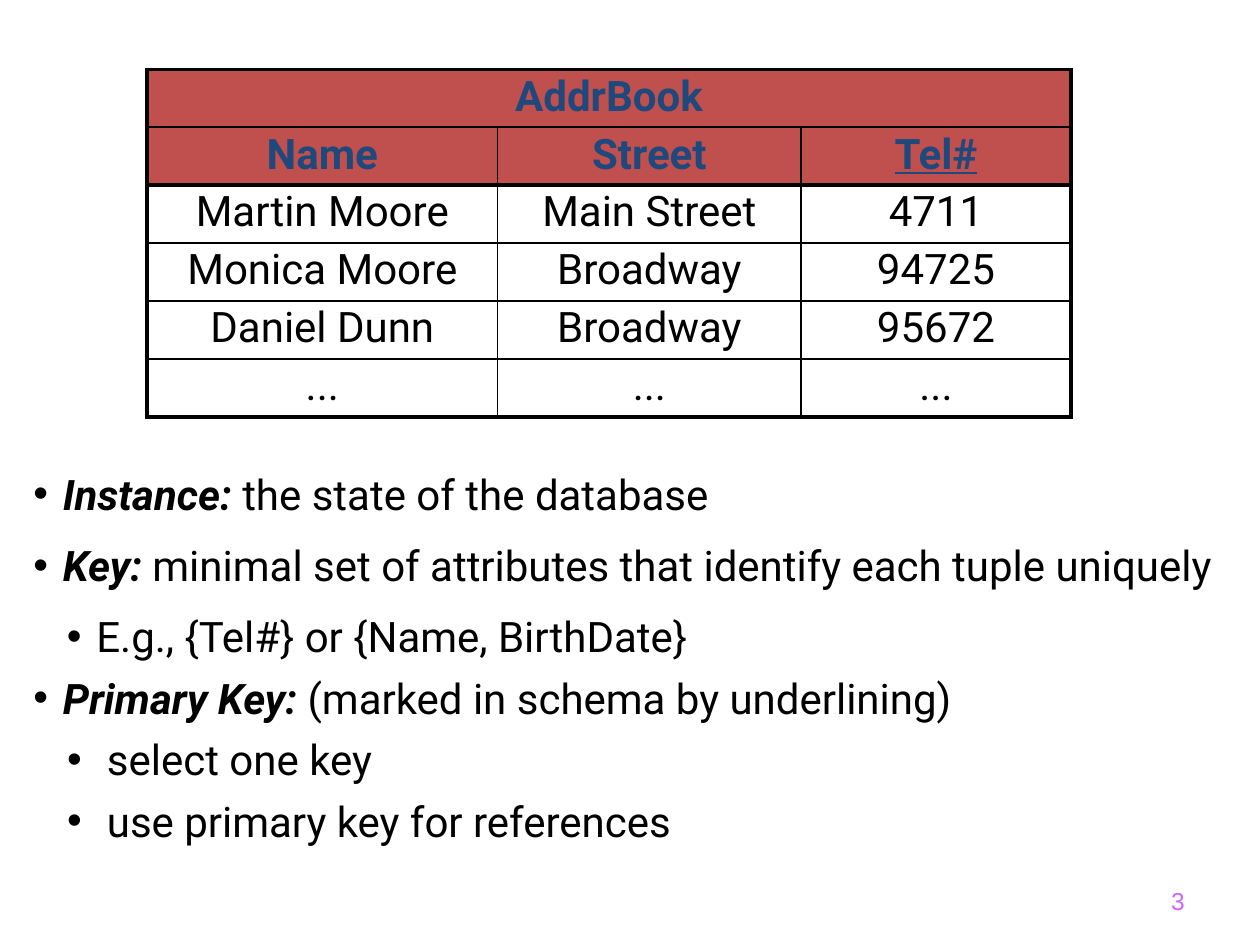
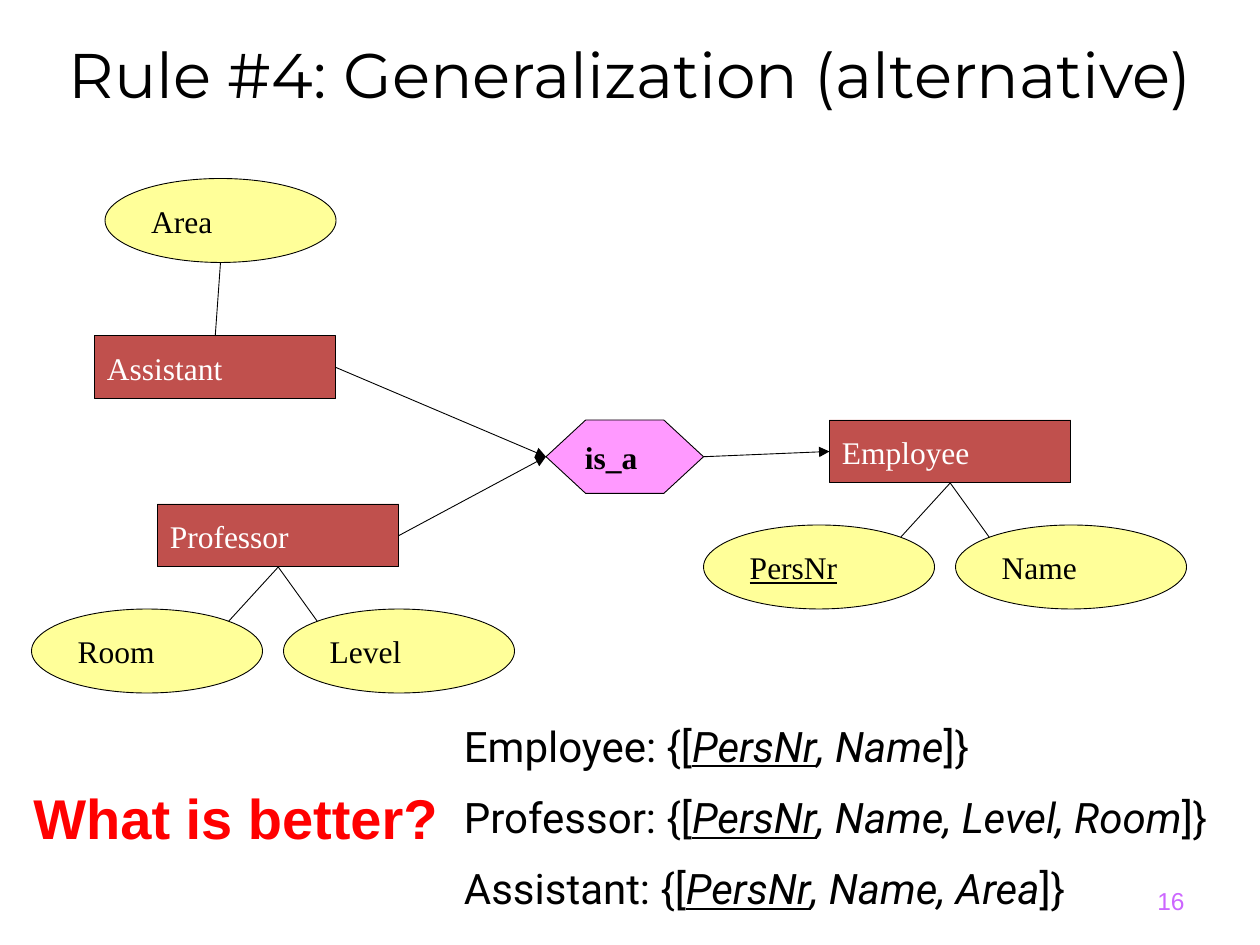
from lxml import etree
from pptx import Presentation
from pptx import util as u
from pptx.dml.color import RGBColor
from pptx.enum import shapes, text
from pptx.oxml import ns

PX = 7620  # 120 px to the inch
BLACK, WHITE, RED = "000000", "FFFFFF", "FF0000"
NAVY, BRICK, YELLOW, PINK, VIOLET = "1F497D", "C0504D", "FFFF99", "FF99FF", "CC66FF"
BODY, HEADING, PLAIN, DIAGRAM = "Roboto", "Montserrat", "Arial", "Times New Roman"
PARAGRAPH_GAP = u.Pt(12)
LEFT, CENTER, RIGHT = text.PP_ALIGN.LEFT, text.PP_ALIGN.CENTER, text.PP_ALIGN.RIGHT

ADDRESSES = [
    ["AddrBook", "", ""],
    ["Name", "Street", "Tel#"],
    ["Martin Moore", "Main Street", "4711"],
    ["Monica Moore", "Broadway", "94725"],
    ["Daniel Dunn", "Broadway", "95672"],
    ["...", "...", "..."],
]
# term, explanation, text indent, bullet offset, line spacing
DEFINITIONS = [
    ("Instance: ", "the state of the database", 28, -28, 1),
    ("Key: ", "minimal set of attributes that identify each tuple uniquely", 28, -28, 1),
    ("", "E.g., {Tel#} or {Name, BirthDate}", 60, -28, 1),
    ("Primary Key: ", "(marked in schema by underlining)", 28, -28, 0.8),
    ("", "select one key", 70, -38, 0.8),
    ("", "use primary key for references", 70, -38, 0.8),
]
RELATIONS = [
    ("Employee", ", Name"),
    ("Professor", ", Name, Level, Room"),
    ("Assistant", ", Name, Area"),
]


# Shared helpers
def px(*lengths):
    return [u.Emu(round(length * PX)) for length in lengths]


def color(value):
    return RGBColor.from_string(value)


def set_font(font, name, size, shade, bold=False):
    font.name, font.size, font.bold = name, u.Pt(size), bold
    font.color.rgb = color(shade)


def add_run(paragraph, words, italic=False, bold=False, underline=False):
    run = paragraph.add_run()
    run.text = words
    run.font.italic, run.font.bold, run.font.underline = italic, bold, underline


def add_frame(slide, box, middle=False, wrap=True):
    frame = slide.shapes.add_textbox(*px(*box)).text_frame
    frame.word_wrap = wrap
    frame.vertical_anchor = text.MSO_ANCHOR.MIDDLE if middle else text.MSO_ANCHOR.TOP
    return frame


def next_paragraph(frame, index):
    if index == 0:
        return frame.paragraphs[0]
    paragraph = frame.add_paragraph()
    paragraph.space_before = PARAGRAPH_GAP
    return paragraph


def add_label(slide, box, words, font, align=LEFT, middle=True, wrap=True):
    frame = add_frame(slide, box, middle, wrap)
    paragraph = frame.paragraphs[0]
    paragraph.text, paragraph.alignment = words, align
    set_font(paragraph.font, *font)
    return frame


def add_page_number(slide, number):
    add_label(slide, (860, 834, 280, 48), str(number), (PLAIN, 14, VIOLET), RIGHT)


def add_title(slide, words):
    add_label(slide, (0, 0, 1200, 140), words, (HEADING, 36, BLACK), CENTER)


# Address table
def set_borders(cell, thick_sides):
    properties = cell._tc.get_or_add_tcPr()
    for side in "LRTB":
        width = u.Pt(2.25 if side in thick_sides else 1)
        line = etree.SubElement(properties, ns.qn("a:ln" + side), w=str(width))
        fill = etree.SubElement(line, ns.qn("a:solidFill"))
        etree.SubElement(fill, ns.qn("a:srgbClr"), val=BLACK)


def thick_sides(row, column):
    sides = "L" if column == 0 else ""
    sides += "R" if column == 2 or row == 0 else ""
    sides += "T" if row in (0, 2) else ""
    return sides + ("B" if row in (1, 5) else "")


def add_address_table(slide, left, top):
    widths, row_height = (334, 289, 257), 55.2
    box = px(left, top, sum(widths), row_height * len(ADDRESSES))
    table = slide.shapes.add_table(len(ADDRESSES), len(widths), *box).table
    table.first_row = table.horz_banding = False
    for column, width in zip(table.columns, px(*widths)):
        column.width = width
    for r, record in enumerate(ADDRESSES):
        table.rows[r].height = px(row_height)[0]
        is_header = r < 2
        for c, words in enumerate(record):
            cell = table.cell(r, c)
            set_borders(cell, thick_sides(r, c))
            cell.margin_left = cell.margin_right = 0
            cell.margin_top = cell.margin_bottom = u.Inches(0.05)
            if is_header:
                cell.fill.solid()
                cell.fill.fore_color.rgb = color(BRICK)
            else:
                cell.fill.background()
            paragraph = cell.text_frame.paragraphs[0]
            paragraph.text = words
            paragraph.alignment, paragraph.line_spacing = CENTER, 0.9
            set_font(paragraph.font, BODY, 24, NAVY if is_header else BLACK, is_header)
            paragraph.font.underline = words == "Tel#"
    table.cell(0, 0).merge(table.cell(0, 2))


# Bulleted definitions
def add_definitions(slide, box):
    frame = add_frame(slide, box)
    for i, (term, explanation, indent, offset, spacing) in enumerate(DEFINITIONS):
        paragraph = next_paragraph(frame, i)
        paragraph.line_spacing = spacing
        properties = paragraph._p.get_or_add_pPr()
        properties.set("marL", str(indent * PX))
        properties.set("indent", str(offset * PX))
        etree.SubElement(properties, ns.qn("a:buFont"), typeface=PLAIN)
        etree.SubElement(properties, ns.qn("a:buChar"), char="•")
        set_font(paragraph.font, BODY, 24, BLACK)
        if term:
            add_run(paragraph, term, italic=True, bold=True)
        add_run(paragraph, explanation)


# Entity-relationship diagram
def add_node(slide, kind, box, words, fill, shade=BLACK, bold=False):
    node = slide.shapes.add_shape(kind, *px(*box))
    node.shadow.inherit = False
    node.fill.solid()
    node.fill.fore_color.rgb = color(fill)
    node.line.color.rgb = color(BLACK)
    node.line.width = u.Pt(0.5)
    frame = node.text_frame
    frame.word_wrap = False
    frame.vertical_anchor = text.MSO_ANCHOR.MIDDLE
    paragraph = frame.paragraphs[0]
    paragraph.text, paragraph.alignment = words, LEFT
    set_font(paragraph.font, DIAGRAM, 18, shade, bold)
    return node


def add_entity(slide, left, top, words):
    box = (left, top, 230, 60)
    return add_node(slide, shapes.MSO_SHAPE.RECTANGLE, box, words, BRICK, WHITE)


def add_attribute(slide, left, top, words):
    box = (left, top, 220, 80)
    return add_node(slide, shapes.MSO_SHAPE.OVAL, box, words, YELLOW)


def point_on(node, across, down):
    """Point at a fraction of the node's half width and half height from its centre."""
    return (round(node.left + node.width * (1 + across) / 2),
            round(node.top + node.height * (1 + down) / 2))


def add_link(slide, start, end, arrow=False):
    link = slide.shapes.add_connector(shapes.MSO_CONNECTOR.STRAIGHT, *start, *end)
    link.line.color.rgb = color(BLACK)
    link.line.width = u.Pt(0.5)
    if arrow:
        etree.SubElement(link.line._get_or_add_ln(), ns.qn("a:tailEnd"), type="triangle")
    etree.SubElement(link._element.spPr, ns.qn("a:effectLst"))
    return link


def add_entity_with_pair(slide, left, top, words, attributes):
    """Entity with two attributes hanging below it, left and right."""
    entity = add_entity(slide, left, top, words)
    diagonal = 0.5 ** 0.5
    ovals = []
    for side, name in zip((-1, 1), attributes):
        oval = add_attribute(slide, left + side * 120, top + 100, name)
        end = point_on(oval, -side * diagonal, -diagonal)
        add_link(slide, point_on(entity, 0, 1), end).begin_connect(entity, 2)
        ovals.append(oval)
    return entity, ovals


def add_diagram(slide, left, top):
    area = add_attribute(slide, left + 70, top, "Area")
    assistant = add_entity(slide, left + 60, top + 150, "Assistant")
    add_link(slide, point_on(area, 0, 1), point_on(assistant, 0, -1)).end_connect(assistant, 0)
    professor, _ = add_entity_with_pair(
        slide, left + 120, top + 310, "Professor", ("Room", "Level"))
    is_a = add_node(slide, shapes.MSO_SHAPE.HEXAGON, (left + 490, top + 230, 150, 70),
                    "is_a", PINK, bold=True)
    is_a.adjustments[0] = 0.54
    employee, (pers_nr, _) = add_entity_with_pair(
        slide, left + 760, top + 230, "Employee", ("PersNr", "Name"))
    pers_nr.text_frame.paragraphs[0].font.underline = True

    # Generalization arrows
    for special in (assistant, professor):
        link = add_link(slide, point_on(special, 1, 0), point_on(is_a, -1, 0), arrow=True)
        link.begin_connect(special, 3)
    link = add_link(slide, point_on(is_a, 1, 0), point_on(employee, -1, 0), arrow=True)
    link.end_connect(employee, 1)


# Relation schemas
def add_relations(slide, box):
    frame = add_frame(slide, box)
    for i, (relation, other_attributes) in enumerate(RELATIONS):
        paragraph = next_paragraph(frame, i)
        set_font(paragraph.font, BODY, 24, BLACK)
        add_run(paragraph, relation + ": {[")
        add_run(paragraph, "PersNr", italic=True, underline=True)
        add_run(paragraph, other_attributes, italic=True)
        add_run(paragraph, "]}")


# Slides
def build_keys_slide(slide):
    add_address_table(slide, 140, 66)
    add_definitions(slide, (20, 440, 1180, 460))
    add_page_number(slide, 3)


def build_generalization_slide(slide):
    add_title(slide, "Rule #4: Generalization (alternative)")
    add_diagram(slide, 30, 170)
    add_relations(slide, (430, 680, 770, 278))
    question = add_label(slide, (20, 740, 413, 77), "What is better?",
                         (PLAIN, 32, RED, True), middle=False, wrap=False)
    question.auto_size = text.MSO_AUTO_SIZE.SHAPE_TO_FIT_TEXT
    add_page_number(slide, 16)


def main():
    deck = Presentation()
    deck.slide_width, deck.slide_height = px(1200, 900)
    for build in (build_keys_slide, build_generalization_slide):
        build(deck.slides.add_slide(deck.slide_layouts[6]))
    deck.save("out.pptx")


if __name__ == "__main__":
    main()
